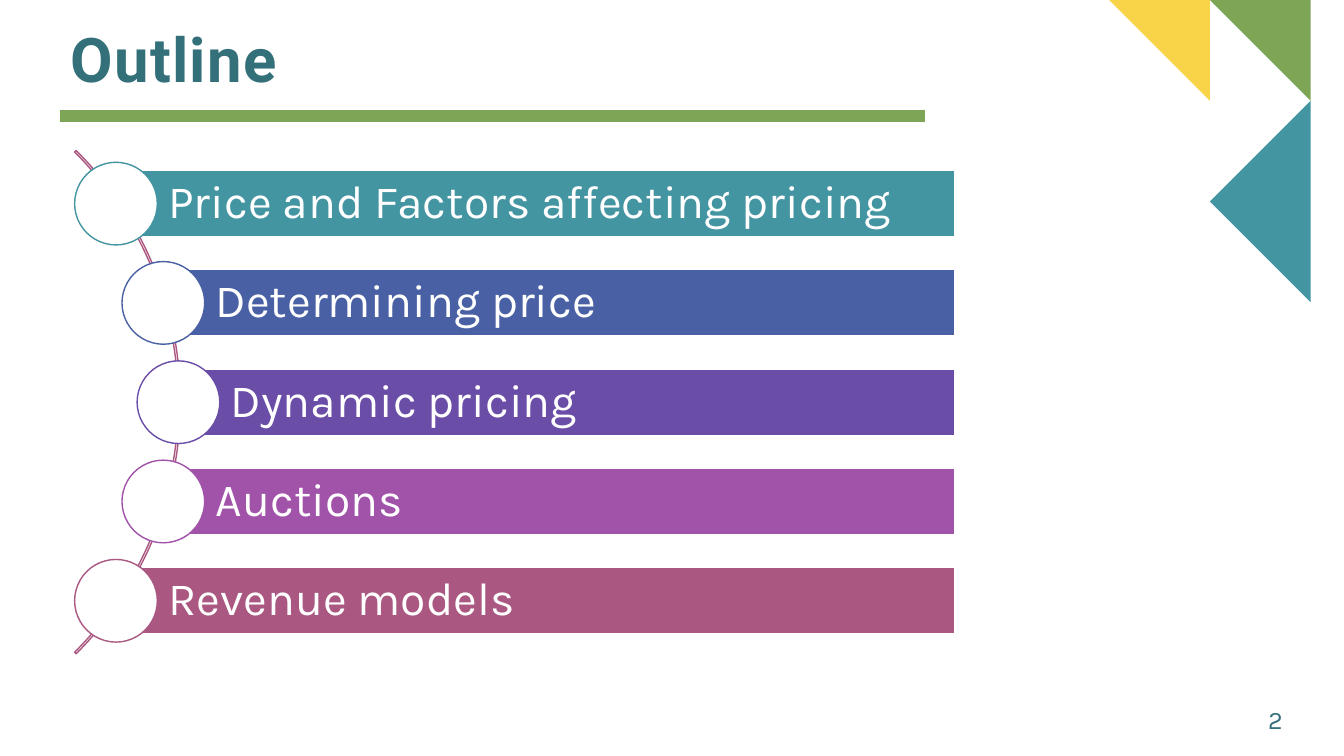
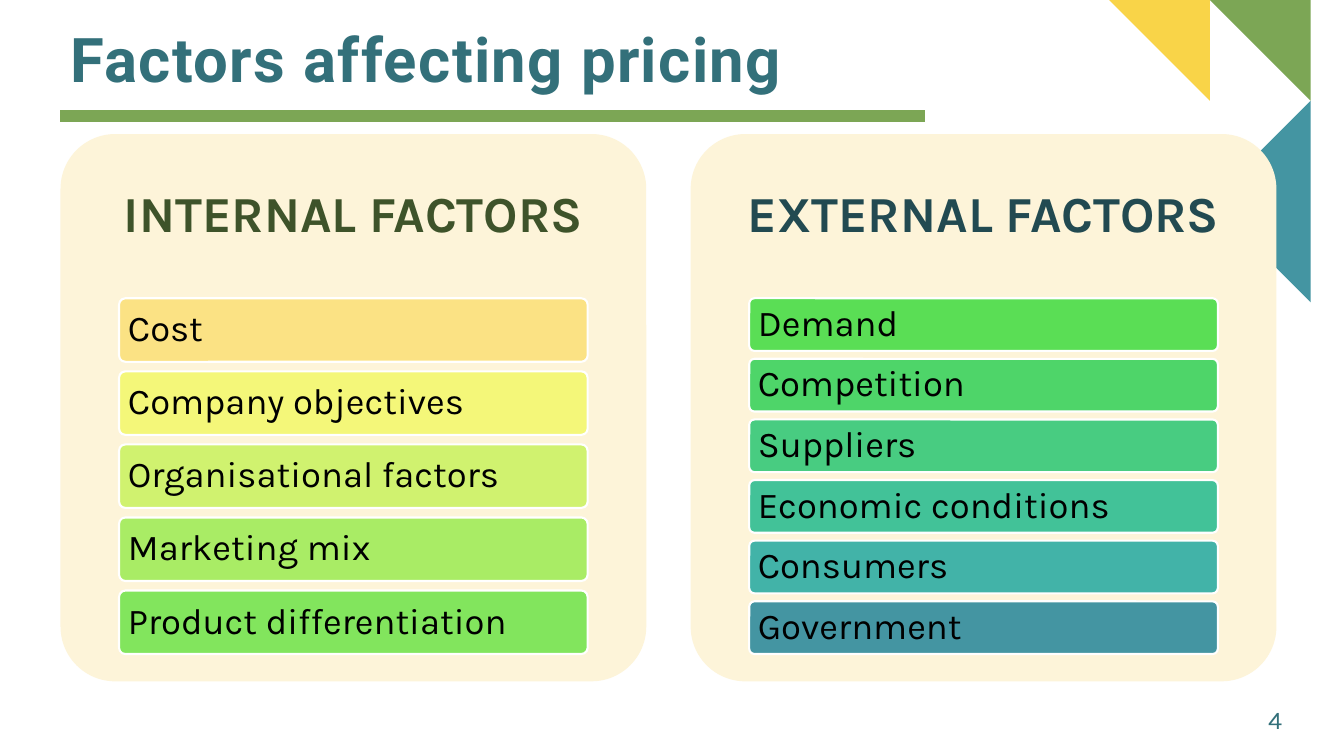
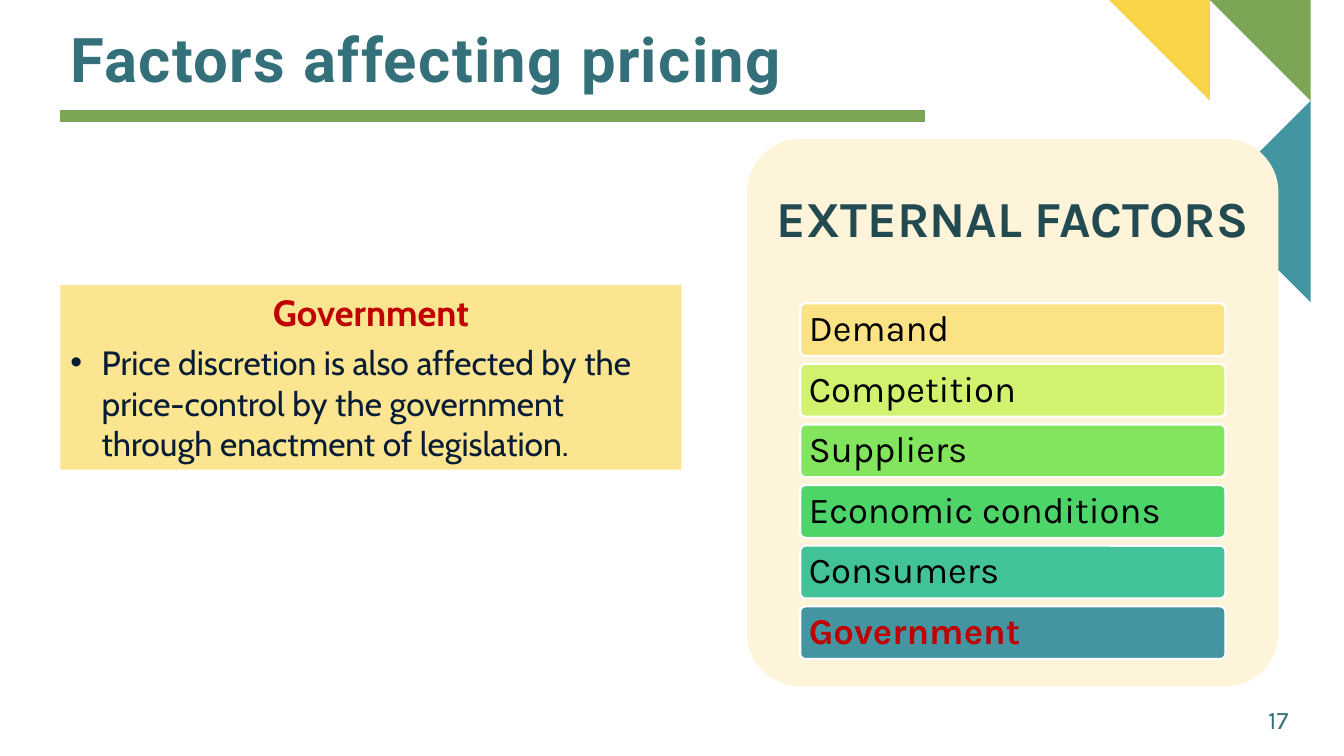
from lxml.etree import SubElement
from pptx import Presentation
from pptx.dml.color import RGBColor
from pptx.enum.shapes import MSO_CONNECTOR, MSO_SHAPE
from pptx.enum.text import MSO_ANCHOR, PP_ALIGN
from pptx.oxml.ns import qn
from pptx.util import Inches, Pt

COLORS = {
    "white": "FFFFFF", "black": "000000", "ink": "081C36", "red": "C00000",
    "title": "33707A", "yellow": "F9D448", "green": "7CA655", "teal": "4495A2",
    "blue": "4961A4", "violet": "6A4DA7", "purple": "A152A9", "rose": "AA5881",
    "card": "FDF4D9", "note": "FBE591", "moss": "3E532A", "pine": "224A51",
    "sand": "FBE284", "lemon": "F4F779", "lime": "D0F26F", "apple": "A9EC65",
    "leaf": "82E55D", "grass": "5ADE55", "emerald": "4ED569", "jade": "48CC81",
    "mint": "42C298", "lagoon": "42B3A8",
}
RAMP = ["sand", "lemon", "lime", "apple", "leaf", "grass",
        "emerald", "jade", "mint", "lagoon", "teal"]
CORNER = [
    ("yellow", [(10.64, 0.02), (11.55, 0.02), (12.45, 0.95), (12, 1.42)]),
    ("green", [(12.45, 0.02), (13.33, 0.02), (13.33, 0.93)]),
    ("teal", [(13.33, 2.79), (12.45, 1.88), (13.33, 0.97)]),
]
TOPICS = [
    ("Price and Factors affecting pricing", "teal", 0),
    ("Determining price", "blue", 0.47),
    ("Dynamic pricing", "violet", 0.62),
    ("Auctions", "purple", 0.47),
    ("Revenue models", "rose", 0),
]
INTERNAL = ["Cost", "Company objectives", "Organisational factors",
            "Marketing mix", "Product differentiation"]
EXTERNAL = ["Demand", "Competition", "Suppliers", "Economic conditions",
            "Consumers", "Government"]


def rgb(name):
    return RGBColor.from_string(COLORS[name])


def write(p, text, size, color, font="Karla", bold=False, align=PP_ALIGN.LEFT,
          leading=None, after=None, spacing=None, bullet_indent=None):
    """Fill a paragraph with one formatted run."""
    p.alignment = align
    if leading:
        p.line_spacing = leading
    if after:
        p.space_after = Pt(after)
    if bullet_indent:
        pPr = p._p.get_or_add_pPr()
        pPr.set("marL", str(Inches(bullet_indent)))
        pPr.set("indent", str(-Inches(bullet_indent)))
        SubElement(pPr, qn("a:buFont")).set("typeface", "Arial")
        SubElement(pPr, qn("a:buChar")).set("char", "•")
    r = p.add_run()
    r.text = text
    r.font.name = font
    r.font.size = Pt(size)
    r.font.bold = bold
    r.font.color.rgb = rgb(color)
    if spacing:
        r._r.get_or_add_rPr().set("spc", str(spacing * 100))


class Deck:
    """Holds the shared style and the slide being built."""

    def __init__(self):
        self.prs = Presentation()
        self.prs.slide_width = Inches(13.33)
        self.prs.slide_height = Inches(7.5)
        self.s = None

    def slide(self, title, number):
        self.s = self.prs.slides.add_slide(self.prs.slide_layouts[6])
        for color, points in CORNER:
            self.polygon(points, color)
        self.rule(0.6, 1.15, 9.17, "green", 8)
        self.text(12.48, 6.94, 0.59, 0.4, str(number), size=18, color="title",
                  anchor=MSO_ANCHOR.TOP)
        self.text(0.6, 0.15, 12.08, 0.95, title, size=44, color="title",
                  font="Roboto", bold=True, leading=0.9, spacing=1)

    def paint(self, sp, fill=None, line=None, weight=1):
        sp.shadow.inherit = False
        if fill:
            sp.fill.solid()
            sp.fill.fore_color.rgb = rgb(fill)
        else:
            sp.fill.background()
        if line:
            sp.line.color.rgb = rgb(line)
            sp.line.width = Pt(weight)
        else:
            sp.line.fill.background()

    def polygon(self, points, color):
        builder = self.s.shapes.build_freeform(*points[0], scale=Inches(1))
        builder.add_line_segments(points[1:], close=True)
        self.paint(builder.convert_to_shape(), color)

    def rule(self, x, y, x_end, color, weight):
        line = self.s.shapes.add_connector(
            MSO_CONNECTOR.STRAIGHT, Inches(x), Inches(y), Inches(x_end), Inches(y))
        line.line.color.rgb = rgb(color)
        line.line.width = Pt(weight)
        SubElement(line._element.spPr, qn("a:effectLst"))

    def shape(self, kind, x, y, w, h, adjust=(), **style):
        sp = self.s.shapes.add_shape(kind, Inches(x), Inches(y), Inches(w), Inches(h))
        for i, value in enumerate(adjust):
            sp.adjustments[i] = value
        self.paint(sp, **style)
        return sp

    def frame(self, sp, anchor=MSO_ANCHOR.MIDDLE, insets=(0.1, 0.05, 0.1, 0.05)):
        """Set wrapping, anchor and left, top, right, bottom insets."""
        tf = sp.text_frame
        tf.word_wrap = True
        tf.vertical_anchor = anchor
        (tf.margin_left, tf.margin_top,
         tf.margin_right, tf.margin_bottom) = map(Inches, insets)
        return tf

    def text(self, x, y, w, h, text, anchor=MSO_ANCHOR.MIDDLE, **fmt):
        sp = self.s.shapes.add_textbox(Inches(x), Inches(y), Inches(w), Inches(h))
        write(self.frame(sp, anchor).paragraphs[0], text, **fmt)

    def topic(self, text, color, indent, y):
        """Draw a bar with a circle over its left end."""
        x, h, d = 1.15 + indent, 0.66, 0.82
        bar = self.shape(MSO_SHAPE.RECTANGLE, x, y, 9.47 - x, h,
                         fill=color, line="white")
        tf = self.frame(bar, insets=(0.52, 0.09, 0.09, 0.09))
        write(tf.paragraphs[0], text, size=33, color="white", leading=0.9)
        self.shape(MSO_SHAPE.OVAL, x - d / 2, y + (h - d) / 2, d, d,
                   fill="white", line=color)

    def card(self, x, y, w, heading, color, items, fills, marked=None):
        """Draw a headed card with a stack of tiles, one of them marked."""
        h = 5.43
        self.shape(MSO_SHAPE.ROUNDED_RECTANGLE, x, y, w, h, [0.1], fill="card")
        self.text(x, y, w, 0.3 * h, heading, size=36, color=color, bold=True,
                  align=PP_ALIGN.CENTER, leading=0.9)
        gap_ratio = 0.15
        tile_h = 0.65 * h / (len(items) + (len(items) - 1) * gap_ratio)
        for i, (item, fill) in enumerate(zip(items, fills)):
            tile = self.shape(
                MSO_SHAPE.ROUNDED_RECTANGLE, x + 0.1 * w,
                y + 0.3 * h + i * tile_h * (1 + gap_ratio), 0.8 * w, tile_h,
                [0.1], fill=fill, line="white", weight=1.5)
            tf = self.frame(tile, insets=(0.07, 0.05, 0.07, 0.05))
            write(tf.paragraphs[0], item, size=26, leading=0.9,
                  color="red" if item == marked else "black", bold=item == marked)

    def note(self, x, y, w, h, heading, body):
        sp = self.shape(MSO_SHAPE.RECTANGLE, x, y, w, h, fill="note")
        tf = self.frame(sp, MSO_ANCHOR.TOP)
        write(tf.paragraphs[0], heading, size=26, color="red", font="Cabin",
              bold=True, align=PP_ALIGN.CENTER, after=6)
        write(tf.add_paragraph(), body, size=24, color="ink", font="Cabin",
              bullet_indent=0.31)


def main():
    deck = Deck()

    deck.slide("Outline", 2)
    deck.shape(MSO_SHAPE.BLOCK_ARC, -5.27, 0.46, 7.06, 7.06,
               [189, 27, 0.003], line="rose")
    pitch = (5.63 - 1.69) / (len(TOPICS) - 1)
    for i, (text, color, indent) in enumerate(TOPICS):
        deck.topic(text, color, indent, 1.69 + i * pitch)

    deck.slide("Factors affecting pricing", 4)
    split = len(INTERNAL)
    deck.card(0.6, 1.33, 5.81, "INTERNAL FACTORS", "moss", INTERNAL, RAMP[:split])
    deck.card(6.85, 1.33, 5.81, "EXTERNAL FACTORS", "pine", EXTERNAL, RAMP[split:])

    deck.slide("Factors affecting pricing", 17)
    deck.card(7.41, 1.38, 5.27, "EXTERNAL FACTORS", "pine", EXTERNAL, RAMP[::2],
              marked="Government")
    deck.note(0.6, 2.83, 6.16, 1.83, "Government",
              "Price discretion is also affected by the price-control by the "
              "government through enactment of legislation.")

    deck.prs.save("out.pptx")


if __name__ == "__main__":
    main()
